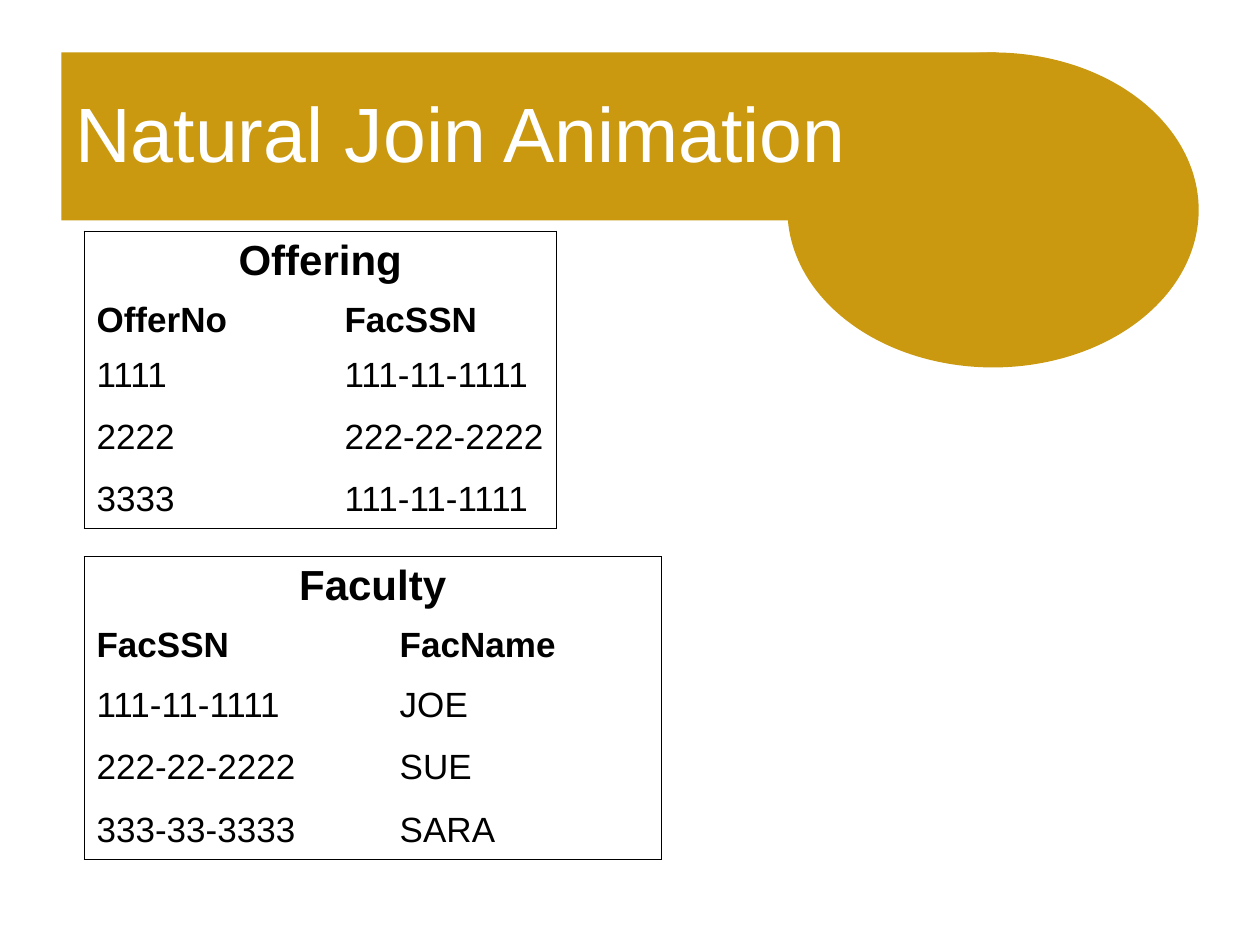
"""Build the Natural Join Animation slide with its Offering and Faculty tables."""
from lxml import etree
from pptx import Presentation
from pptx.dml.color import RGBColor
from pptx.enum.shapes import MSO_SHAPE
from pptx.enum.text import MSO_ANCHOR, PP_ALIGN
from pptx.oxml.ns import qn
from pptx.util import Pt

RECT, OVAL = MSO_SHAPE.RECTANGLE, MSO_SHAPE.OVAL
MIDDLE = MSO_ANCHOR.MIDDLE
LEFT, CENTER = PP_ALIGN.LEFT, PP_ALIGN.CENTER
GOLD, WHITE, BLACK = "CA9910", "FFFFFF", "000000"


def rgb(value):
    return RGBColor.from_string(value)


def set_border(cell, edge, shown):
    tcPr = cell._tc.get_or_add_tcPr()
    ln = etree.SubElement(tcPr, qn("a:" + edge), w=str(Pt(0.45)))
    if shown:
        fill = etree.SubElement(ln, qn("a:solidFill"))
        etree.SubElement(fill, qn("a:srgbClr"), val=BLACK)
    else:
        etree.SubElement(ln, qn("a:noFill"))


prs = Presentation()
prs.slide_width, prs.slide_height = Pt(720), Pt(540)
s = prs.slides.add_slide(prs.slide_layouts[6])

banner = [
    (RECT, 35, 30, 534.25, 96),
    (OVAL, 450, 30, 235, 180),
]
for kind, *box in banner:
    sp = s.shapes.add_shape(kind, *map(Pt, box))
    sp.shadow.inherit = False
    sp.fill.solid()
    sp.fill.fore_color.rgb = rgb(GOLD)
    sp.line.fill.background()

sp = s.shapes.add_textbox(Pt(36), Pt(30), Pt(630), Pt(90))
tf = sp.text_frame
tf.word_wrap = True
tf.vertical_anchor = MIDDLE
tf.text = "Natural Join Animation"
font = tf.paragraphs[0].runs[0].font
font.name, font.size = "Arial", Pt(44)
font.color.rgb = rgb(WHITE)

tables = [
    (318, (173.25, 156.75), (36, 34, 35.75, 35.75, 31.5), [
        ("Faculty", ""),
        ("FacSSN", "FacName"),
        ("111-11-1111", "JOE"),
        ("222-22-2222", "SUE"),
        ("333-33-3333", "SARA"),
    ]),
    (132, (141.75, 128.25), (36, 31.5, 35.5, 35.5, 31.5), [
        ("Offering", ""),
        ("OfferNo", "FacSSN"),
        ("1111", "111-11-1111"),
        ("2222", "222-22-2222"),
        ("3333", "111-11-1111"),
    ]),
]
for top, widths, heights, rows in tables:
    frame = s.shapes.add_table(len(rows), len(widths), Pt(48), Pt(top),
                               Pt(sum(widths)), Pt(sum(heights)))
    table = frame.table
    table.first_row = table.horz_banding = False
    for column, width in zip(table.columns, widths):
        column.width = Pt(width)
    for row, height in zip(table.rows, heights):
        row.height = Pt(height)
    table.cell(0, 0).merge(table.cell(0, 1))
    for i, values in enumerate(rows):
        for j, value in enumerate(values):
            cell = table.cell(i, j)
            set_border(cell, "lnL", j == 0)
            set_border(cell, "lnR", j == 1 or i == 0)
            set_border(cell, "lnT", i == 0)
            set_border(cell, "lnB", i == len(rows) - 1)
            cell.fill.background()
            if not value:
                continue
            cell.text = value
            cell.margin_right = Pt(7.2 if i == 0 else 3.6)
            p = cell.text_frame.paragraphs[0]
            p.alignment = CENTER if i == 0 else LEFT
            font = p.runs[0].font
            font.name, font.size = "Arial", Pt(24 if i == 0 else 20)
            font.bold = i < 2
            font.color.rgb = rgb(BLACK)

prs.save("out.pptx")
